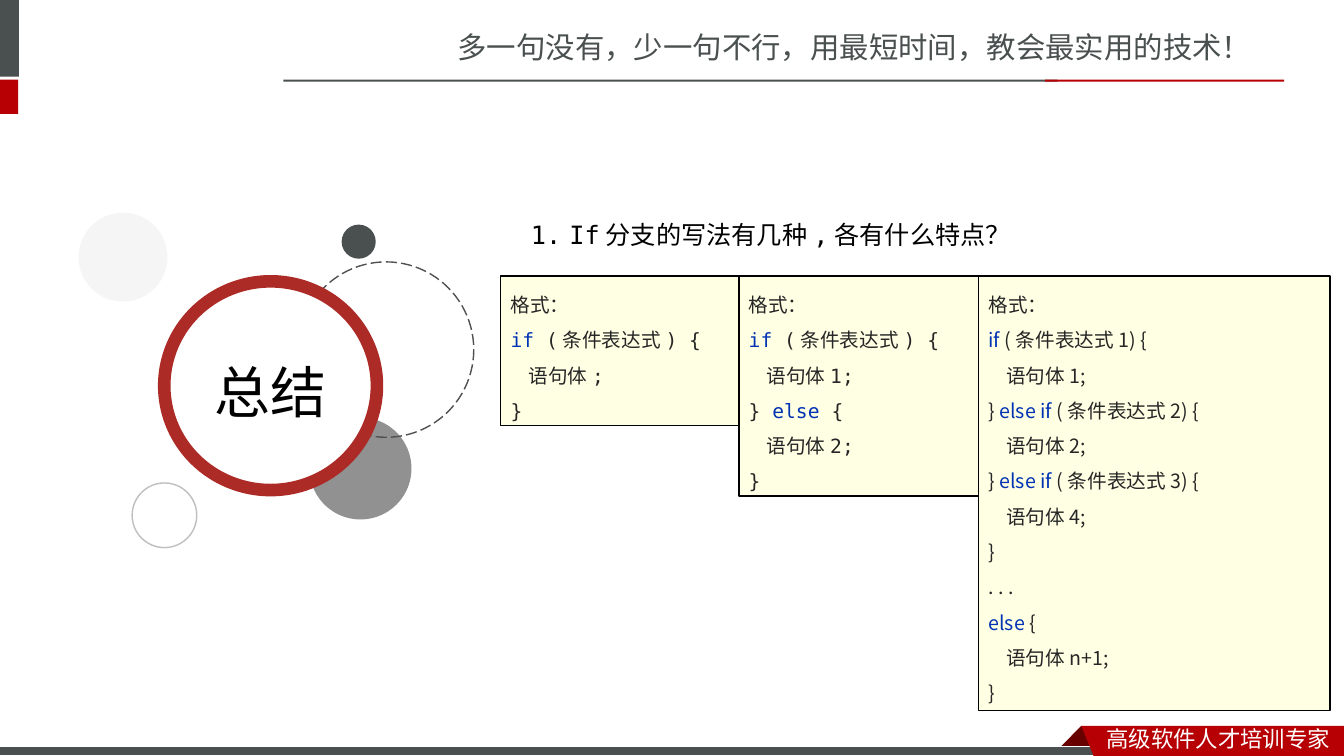
"""Builds the summary slide on the ways to write an if branch."""
from lxml.etree import SubElement
from pptx import Presentation
from pptx.dml.color import RGBColor
from pptx.enum.dml import MSO_LINE
from pptx.enum.shapes import MSO_SHAPE
from pptx.enum.text import MSO_ANCHOR, PP_ALIGN
from pptx.oxml.ns import qn
from pptx.util import Cm, Pt

COLOURS = {
    "slate": "49504F", "red": "B60004", "fold": "680000", "ring": "AD2B26",
    "grey": "515151", "outline": "BFBFBF", "pale": "F2F2F2", "white": "FFFFFF",
    "black": "000000", "code": "262626", "keyword": "0033B3", "cream": "FFFFE4",
}
MONO, SANS_JP, SANS_SC = "DejaVu Sans Mono", "Noto Sans CJK JP", "Noto Sans CJK SC"

BARS = [
    ("slate", 0, 0, 0.48, 1.93),
    ("red", 0, 2.01, 0.46, 0.86),
    ("slate", 7.14, 2.01, 19.51, 0.05),
    ("red", 26.34, 2.01, 6.02, 0.05),
]
CODE_TOP = 6.96
CODE_BOXES = [
    (12.62, 5.99, 3.76, MONO,
     ["格式：", "|if| (条件表达式) {", "语句体;", "}"]),
    (18.62, 7.06, 5.54, MONO,
     ["格式：", "|if| (条件表达式) {", "语句体1;", "} |else| {", "语句体2;", "}"]),
    (24.66, 8.86, 10.95, SANS_JP,
     ["格式：", "|if| (条件表达式1) {", "语句体1;", "} |else if |(条件表达式2) {",
      "语句体2;", "} |else if |(条件表达式3) {", "语句体4;", "}", ". . .",
      "|else |{", "语句体n+1;", "}"]),
]


class SlidePainter:
    """Holds the style and the current slide and draws each kind of element."""

    def __init__(self, page, colours):
        self.page = page
        self.colours = colours

    def colour(self, name):
        return RGBColor.from_string(self.colours[name])

    def paint(self, shape, fill=None, line=None, weight=1, opacity=None, dash=None):
        shape.shadow.inherit = False
        if fill:
            shape.fill.solid()
            shape.fill.fore_color.rgb = self.colour(fill)
        else:
            shape.fill.background()
        if opacity:
            tint = shape._element.spPr.find(qn("a:solidFill"))[0]
            SubElement(tint, qn("a:alpha"), val=str(opacity * 1000))
        if line:
            shape.line.color.rgb = self.colour(line)
            shape.line.width = Pt(weight)
            if dash:
                shape.line.dash_style = dash
        else:
            shape.line.fill.background()
        return shape

    def shape(self, kind, left, top, width, height, **style):
        shape = self.page.shapes.add_shape(kind, Cm(left), Cm(top), Cm(width), Cm(height))
        return self.paint(shape, **style)

    def bar(self, *place, **style):
        return self.shape(MSO_SHAPE.RECTANGLE, *place, **style)

    def circle(self, *place, **style):
        return self.shape(MSO_SHAPE.OVAL, *place, **style)

    def outline(self, points, fill):
        start, *rest = [(Cm(x), Cm(y)) for x, y in points]
        builder = self.page.shapes.build_freeform(*start)
        builder.add_line_segments(rest, close=True)
        return self.paint(builder.convert_to_shape(), fill=fill)

    def font(self, para, size, name, colour):
        para.font.size = Pt(size)
        para.font.name = name
        para.font.color.rgb = self.colour(colour)
        east_asian = SANS_SC if name == MONO else name
        SubElement(para.font._element, qn("a:ea"), typeface=east_asian)

    def text(self, words, left, top, width, height, size, name, colour,
             align=PP_ALIGN.LEFT, anchor=MSO_ANCHOR.TOP):
        box = self.page.shapes.add_textbox(Cm(left), Cm(top), Cm(width), Cm(height))
        box.text_frame.word_wrap = True
        box.text_frame.vertical_anchor = anchor
        para = box.text_frame.paragraphs[0]
        para.text = words
        para.alignment = align
        self.font(para, size, name, colour)
        return para

    def numbered(self, *content, **style):
        properties = self.text(*content, **style)._p.get_or_add_pPr()
        properties.set("marL", str(Cm(0.97)))
        properties.set("indent", str(-Cm(0.97)))
        number = properties.makeelement(qn("a:buAutoNum"), {"type": "arabicPeriod"})
        properties.insert(0, number)

    def code(self, left, width, height, name, lines):
        box = self.bar(left, CODE_TOP, width, height, fill="cream", line="black")
        frame = box.text_frame
        frame.word_wrap = True
        frame.vertical_anchor = MSO_ANCHOR.TOP
        for index, line in enumerate(lines):
            para = frame.add_paragraph() if index else frame.paragraphs[0]
            para.alignment = PP_ALIGN.LEFT
            para.line_spacing = 1.5
            self.font(para, 14, name, "code")
            if line.startswith("语句体"):
                para._p.get_or_add_pPr().set("marL", str(Cm(0.45)))
            for position, words in enumerate(line.split("|")):
                if words:
                    span = para.add_run()
                    span.text = words
                    span.font.color.rgb = self.colour("keyword" if position % 2 else "code")


def main():
    deck = Presentation()
    deck.slide_width, deck.slide_height = Cm(33.87), Cm(19.05)
    painter = SlidePainter(deck.slides.add_slide(deck.slide_layouts[6]), COLOURS)

    painter.text("多一句没有，少一句不行，用最短时间，教会最实用的技术！",
                 11.28, 0.61, 20.27, 1.14, 21, SANS_SC, "slate")
    for fill, *place in BARS:
        painter.bar(*place, fill=fill)

    painter.outline([(27.25, 18.29), (27.81, 18.85), (27.79, 18.87),
                     (26.72, 18.87), (26.7, 18.85)], "fold")
    painter.bar(0, 18.82, 27.94, 0.23, fill="slate", line="white", weight=0.75)
    painter.outline([(27.25, 18.29), (33.87, 18.29), (33.87, 19.05), (27.56, 19.05)], "red")
    painter.text("高级软件人才培训专家", 27.64, 18.16, 6.22, 0.89, 16, SANS_SC, "white")

    painter.circle(3.33, 12.17, 1.63, 1.63, line="outline")
    painter.circle(7.8, 10.52, 2.57, 2.57, fill="grey", opacity=63)
    painter.circle(7.52, 6.6, 4.42, 4.42, line="grey", dash=MSO_LINE.LONG_DASH)
    painter.circle(4.14, 7.09, 5.36, 5.26, fill="white", line="ring", weight=9)
    painter.circle(1.98, 5.36, 2.24, 2.24, fill="pale", opacity=70)
    painter.circle(8.61, 5.66, 0.86, 0.86, fill="slate")
    painter.text("总结", 4.65, 8.36, 4.34, 3, 40, SANS_JP, "black",
                 align=PP_ALIGN.CENTER, anchor=MSO_ANCHOR.MIDDLE)

    painter.numbered("If分支的写法有几种,各有什么特点？", 13.13, 5.1, 18.47, 1.6,
                     18, MONO, "black", anchor=MSO_ANCHOR.MIDDLE)
    for code_box in CODE_BOXES:
        painter.code(*code_box)

    deck.save("out.pptx")


if __name__ == "__main__":
    main()
